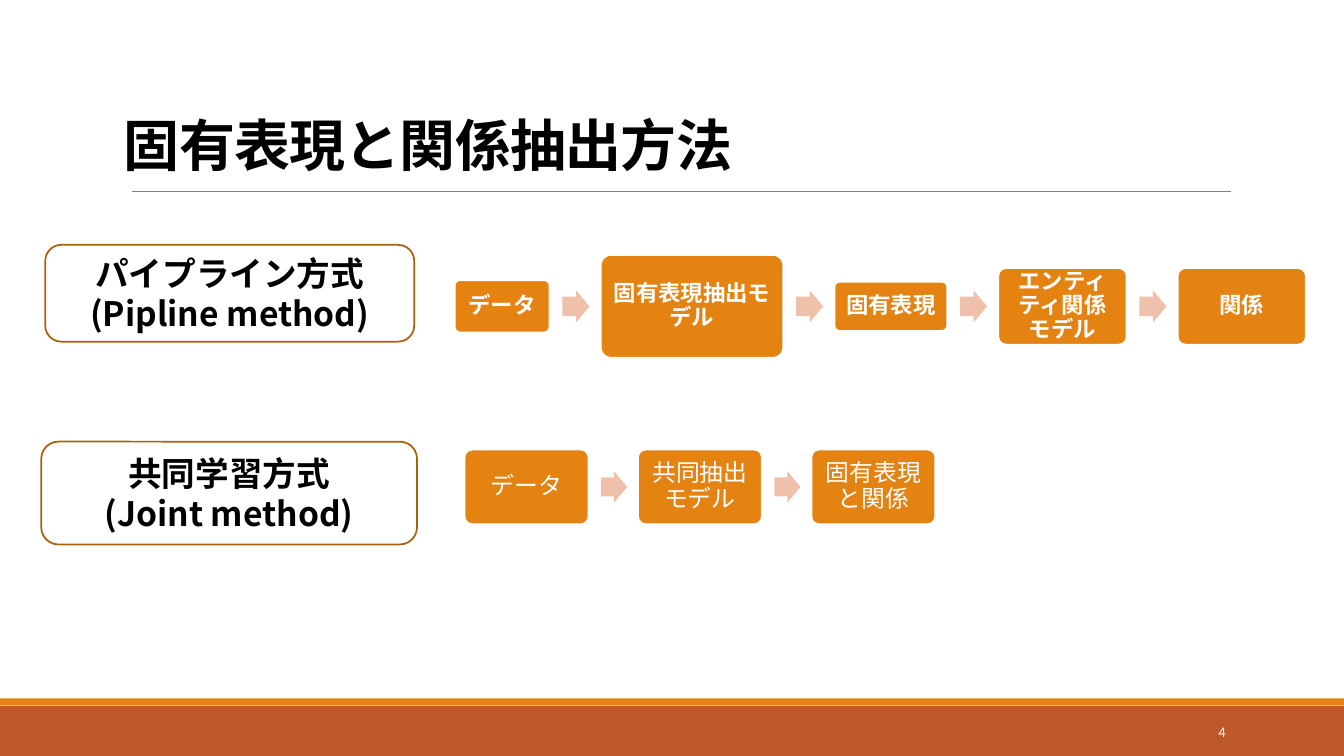
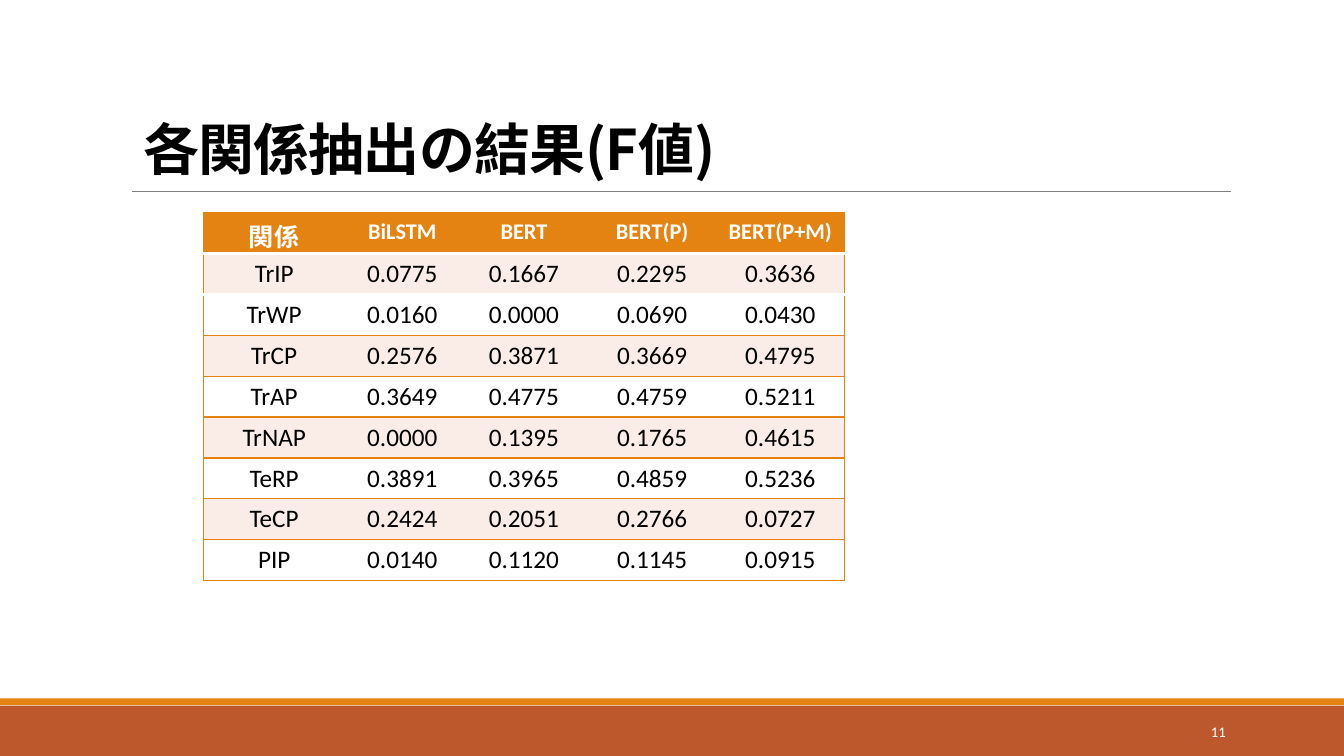
from pptx import Presentation
from pptx.dml.color import RGBColor
from pptx.enum.shapes import MSO_CONNECTOR, MSO_SHAPE
from pptx.enum.text import MSO_ANCHOR, PP_ALIGN
from pptx.oxml.ns import qn
from pptx.util import Cm, Pt
from lxml.etree import SubElement

ORANGE = RGBColor(0xE4, 0x83, 0x12)
RUST = RGBColor(0xBD, 0x58, 0x2C)
BROWN = RGBColor(0xA9, 0x61, 0x0D)
PEACH = RGBColor(0xEF, 0xC1, 0xAB)
BLUSH = RGBColor(0xFA, 0xED, 0xE7)
GRAY = RGBColor(0x80, 0x80, 0x80)
WHITE = RGBColor(0xFF, 0xFF, 0xFF)
BLACK = RGBColor(0, 0, 0)
LATIN = "Calibri"
KANJI = "Noto Sans CJK JP"


class Deck:
    """Holds the shared style and the slide being built."""

    def __init__(self):
        self.prs = Presentation()
        self.prs.slide_width, self.prs.slide_height = Cm(33.87), Cm(19.05)

    def page(self, title, number, box, font):
        self.slide = self.prs.slides.add_slide(self.prs.slide_layouts[5])
        self.shapes = self.slide.shapes
        self.shape(MSO_SHAPE.RECTANGLE, (0, 17.78, 33.87, 1.27), RUST)
        self.shape(MSO_SHAPE.RECTANGLE, (0, 17.6, 33.87, 0.17), ORANGE)
        self.rule(3.33, 4.83, 31.01)
        head = self.shapes.title
        head.left, head.top, head.width, head.height = map(Cm, box)
        frame = head.text_frame
        self.label(frame, title, 40, font, BLACK, True, PP_ALIGN.LEFT)
        frame.vertical_anchor = MSO_ANCHOR.BOTTOM
        par = frame.paragraphs[0]
        par.line_spacing = 0.85
        par.font._element.set("spc", "-50")
        note = self.shapes.add_textbox(*map(Cm, (27.51, 17.93, 3.63, 1.02)))
        self.label(note.text_frame, number, 10.5, LATIN, WHITE, align=PP_ALIGN.RIGHT)

    def label(self, frame, text, size, font, color, bold=False, align=PP_ALIGN.CENTER):
        frame.text = text
        frame.word_wrap = True
        frame.vertical_anchor = MSO_ANCHOR.MIDDLE
        for par in frame.paragraphs:
            par.alignment = align
            par.font.name, par.font.size, par.font.bold = font, Pt(size), bold
            par.font.color.rgb = color
            SubElement(par.font._element, qn("a:ea"), typeface=font)

    def shape(self, kind, box, fill=None, line=None):
        item = self.shapes.add_shape(kind, *map(Cm, box))
        item.shadow.inherit = False
        if fill is None:
            item.fill.background()
        else:
            item.fill.solid()
            item.fill.fore_color.rgb = fill
        if line is None:
            item.line.fill.background()
        else:
            item.line.color.rgb = line
            item.line.width = Pt(1.25)
        return item

    def rule(self, left, top, right):
        line = self.shapes.add_connector(
            MSO_CONNECTOR.STRAIGHT, Cm(left), Cm(top), Cm(right), Cm(top))
        line.line.color.rgb = GRAY
        line.line.width = Pt(0.5)
        SubElement(line._element.spPr, qn("a:effectLst"))

    def method(self, text, box):
        item = self.shape(MSO_SHAPE.ROUNDED_RECTANGLE, box, line=BROWN)
        self.label(item.text_frame, text, 24, KANJI, BLACK, True)

    def flow(self, steps, left, mid, gap, size, font, bold):
        for i, (text, width, height) in enumerate(steps):
            if i:
                tall = gap * 0.63
                arrow = self.shape(
                    MSO_SHAPE.RIGHT_ARROW,
                    (left - gap * 0.75, mid - tall / 2, gap * 0.53, tall), PEACH)
                arrow.adjustments[0] = 0.6
            step = self.shape(MSO_SHAPE.ROUNDED_RECTANGLE,
                              (left, mid - height / 2, width, height), ORANGE, WHITE)
            step.adjustments[0] = 0.1
            frame = step.text_frame
            self.label(frame, text, size, font, WHITE, bold)
            frame.margin_left = frame.margin_right = Cm(0.2)
            frame.margin_top = frame.margin_bottom = Cm(0.2)
            frame.paragraphs[0].line_spacing = 0.9
            left += width + gap

    def edge(self, cell, side, color, width):
        line = SubElement(cell._tc.get_or_add_tcPr(), qn("a:" + side), w=str(Pt(width)))
        if color is None:
            SubElement(line, qn("a:noFill"))
        else:
            fill = SubElement(line, qn("a:solidFill"))
            SubElement(fill, qn("a:srgbClr"), val=str(color))

    def table(self, rows, left, top, widths, height):
        grid = self.shapes.add_table(
            len(rows), len(widths), Cm(left), Cm(top),
            Cm(sum(widths)), Cm(height * len(rows))).table
        for col, width in zip(grid.columns, widths):
            col.width = Cm(width)
        edges = [(ORANGE, 1), (WHITE, 2.25), (WHITE, 2.25)] + [(ORANGE, 1)] * (len(rows) - 2)
        for r, row in enumerate(rows):
            grid.rows[r].height = Cm(height)
            for c, text in enumerate(row):
                cell = grid.cell(r, c)
                head = r == 0
                self.label(cell.text_frame, text, 16 if head and c else 18,
                           KANJI if head and not c else LATIN,
                           WHITE if head else BLACK, head)
                cell.vertical_anchor = MSO_ANCHOR.TOP if head else MSO_ANCHOR.MIDDLE
                self.edge(cell, "lnL", None if c else ORANGE, 1)
                self.edge(cell, "lnR", ORANGE if c == len(row) - 1 else None, 1)
                self.edge(cell, "lnT", *edges[r])
                self.edge(cell, "lnB", *edges[r + 1])
                cell.fill.solid()
                cell.fill.fore_color.rgb = ORANGE if head else BLUSH if r % 2 else WHITE


deck = Deck()

deck.page("固有表現と関係抽出方法", "4", (2.87, 1.83, 27.56, 2.79), LATIN)
deck.method("パイプライン方式\n(Pipline method)", (1.14, 6.17, 9.3, 2.44))
deck.flow([("データ", 2.39, 1.32), ("固有表現抽出モデル", 4.6, 2.59),
           ("固有表現", 2.84, 1.24), ("エンティティ関係モデル", 3.23, 1.93),
           ("関係", 3.23, 1.93)], 11.46, 7.72, 1.29, 16, KANJI, True)
deck.method("共同学習方式(Joint\u00a0method)", (1.04, 11.13, 9.47, 2.59))
deck.flow([(text, 3.12, 1.88) for text in ("データ", "共同抽出モデル", "固有表現と関係")],
          11.71, 12.27, 1.25, 17, LATIN, False)

deck.page("各関係抽出の結果(F値)", "11", (3.35, 2.08, 27.76, 2.64), KANJI)
deck.table([
    ("関係", "BiLSTM", "BERT", "BERT(P)", "BERT(P+M)"),
    ("TrIP", "0.0775", "0.1667", "0.2295", "0.3636"),
    ("TrWP", "0.0160", "0.0000", "0.0690", "0.0430"),
    ("TrCP", "0.2576", "0.3871", "0.3669", "0.4795"),
    ("TrAP", "0.3649", "0.4775", "0.4759", "0.5211"),
    ("TrNAP", "0.0000", "0.1395", "0.1765", "0.4615"),
    ("TeRP", "0.3891", "0.3965", "0.4859", "0.5236"),
    ("TeCP", "0.2424", "0.2051", "0.2766", "0.0727"),
    ("PIP", "0.0140", "0.1120", "0.1145", "0.0915"),
], 5.13, 5.36, (3.56, 2.9, 3.23, 3.23, 3.23), 1.03)

deck.prs.save("out.pptx")
